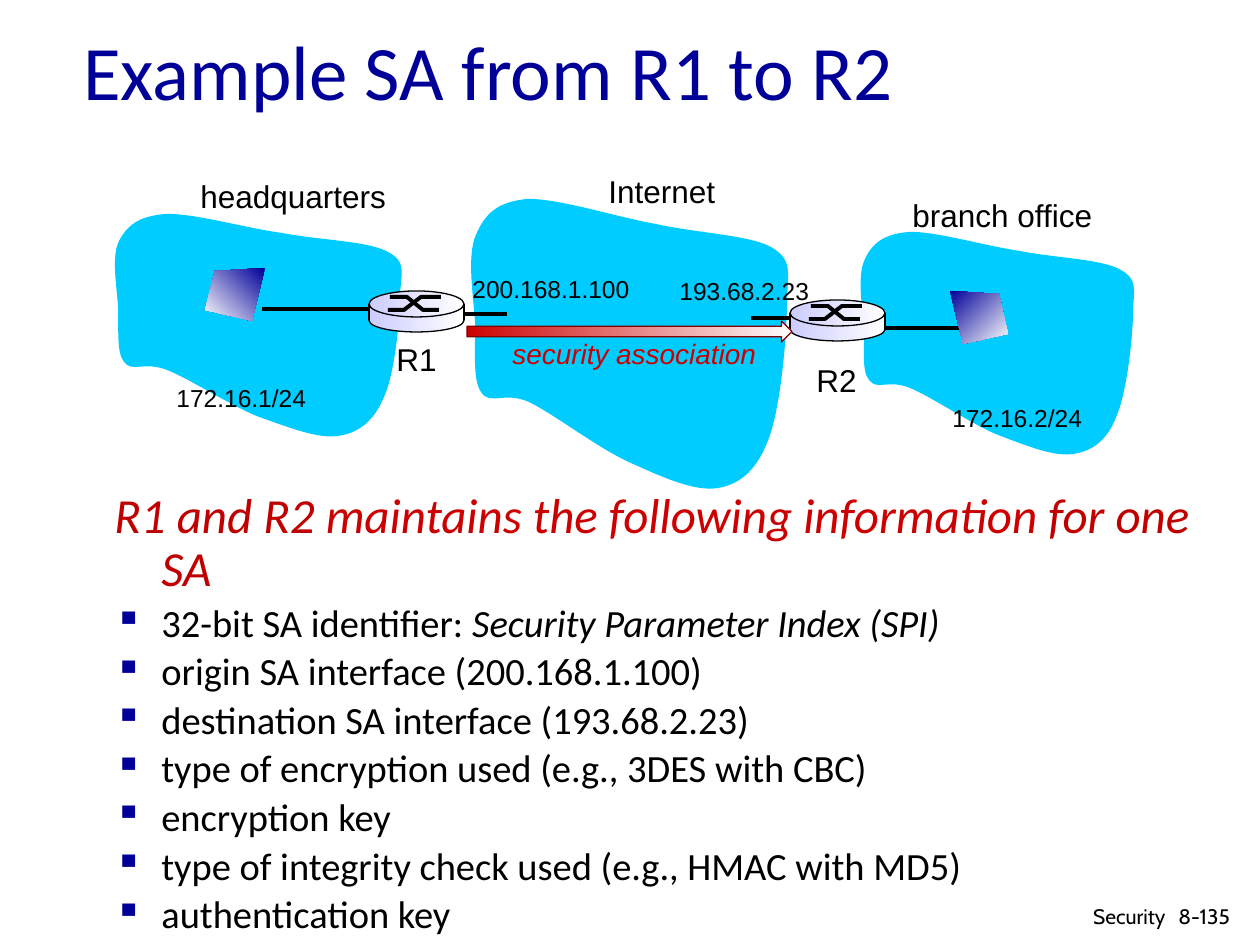
import dataclasses
import typing

import lxml.etree
import pptx
import pptx.dml.color
import pptx.enum.shapes
import pptx.enum.text
import pptx.oxml.ns
import pptx.util

SCALE = 914400 / 126
NAVY = pptx.dml.color.RGBColor(0x00, 0x00, 0x99)
CRIMSON = pptx.dml.color.RGBColor(0xC0, 0x00, 0x00)
RED = pptx.dml.color.RGBColor(0xCC, 0x00, 0x00)
MAROON = pptx.dml.color.RGBColor(0x80, 0x00, 0x00)
CYAN = pptx.dml.color.RGBColor(0x00, 0xCC, 0xFF)
LAVENDER = pptx.dml.color.RGBColor(0xCC, 0xCC, 0xFF)
BLACK = pptx.dml.color.RGBColor(0x00, 0x00, 0x00)
WHITE = pptx.dml.color.RGBColor(0xFF, 0xFF, 0xFF)

SHAPE = pptx.enum.shapes.MSO_SHAPE
Color = pptx.dml.color.RGBColor
Point = tuple[int, int]

CLOUD_SIZE = (258, 233)
CLOUD_CURVE = [
    (48, 1),
    (24, 3), (14, 13), (7, 29), (0, 45), (5, 76), (6, 97),
    (7, 118), (4, 143), (11, 154), (18, 165), (29, 153), (49, 162),
    (69, 171), (105, 199), (130, 210), (155, 221), (181, 233), (199, 230),
    (218, 227), (231, 214), (240, 190), (249, 165), (254, 108), (254, 83),
    (255, 58), (259, 49), (241, 39), (224, 29), (182, 28), (150, 21),
    (118, 15), (72, 0), (48, 1),
]


@dataclasses.dataclass(frozen=True)
class Box:
    left: int
    top: int
    width: int
    height: int

    def emu(self) -> list[int]:
        return [px(value) for value in dataclasses.astuple(self)]


@dataclasses.dataclass(frozen=True)
class Label:
    text: str
    box: Box
    size: int
    font: str = "Arial"
    color: Color = BLACK
    italic: bool = False
    wrap: bool = False


CLOUDS = [Box(857, 231, 280, 226), Box(111, 213, 294, 226), Box(467, 198, 325, 294)]
LINKS = [
    ((262, 309), (372, 309)),
    ((878, 328), (974, 328)),
    ((452, 314), (507, 314)),
    ((791, 318), (751, 318)),
]
LABELS = [
    Label("193.68.2.23", Box(667, 270, 159, 42), 14),
    Label("200.168.1.100", Box(460, 268, 184, 42), 14),
    Label("172.16.1/24", Box(164, 377, 158, 42), 14),
    Label("172.16.2/24", Box(940, 397, 161, 42), 14),
    Label("security association", Box(500, 330, 314, 47), 16, color=RED, italic=True, wrap=True),
    Label("Internet", Box(596, 166, 132, 50), 18),
    Label("headquarters", Box(188, 171, 217, 50), 18),
    Label("branch office", Box(900, 190, 210, 50), 18),
    Label("R1", Box(384, 334, 66, 50), 18),
    Label("R2", Box(804, 355, 66, 50), 18),
]
HEADING = [
    ("R1 and R2 ", CRIMSON),
    ("maintains the following information ", RED),
    ("for one SA", CRIMSON),
]
ITEMS = [
    ("32-bit SA identifier: ", "Security Parameter Index (SPI)"),
    ("origin SA interface (200.168.1.100)", ""),
    ("destination SA interface (193.68.2.23)", ""),
    ("type of encryption used (e.g., 3DES with CBC)", ""),
    ("encryption key", ""),
    ("type of integrity check used (e.g., HMAC with MD5)", ""),
    ("authentication key", ""),
]


def px(value: float) -> int:
    return round(value * SCALE)


def write_span(para: typing.Any, text: str, *, size: int, font: str = "Calibri",
               color: Color = BLACK, italic: bool = False) -> None:
    span = para.add_run()
    span.text = text
    span.font.size = pptx.util.Pt(size)
    span.font.name = font
    span.font.color.rgb = color
    span.font.italic = italic


def add_frame(page: typing.Any, box: Box, wrap: bool = True) -> typing.Any:
    frame = page.shapes.add_textbox(*box.emu()).text_frame
    frame.word_wrap = wrap
    return frame


def add_label(page: typing.Any, label: Label) -> typing.Any:
    frame = add_frame(page, label.box, label.wrap)
    write_span(frame.paragraphs[0], label.text, size=label.size, font=label.font,
               color=label.color, italic=label.italic)
    return frame


def paint(shape: typing.Any, fill: Color | None = None, line: Color | None = None,
          width: float = 0.75, fade_to: Color | None = None, angle: int = 0) -> None:
    shape.shadow.inherit = False
    if fill is None:
        shape.fill.background()
    elif fade_to is None:
        shape.fill.solid()
        shape.fill.fore_color.rgb = fill
    else:
        shape.fill.gradient()
        shape.fill.gradient_angle = -angle % 360
        for stop, color in zip(shape.fill.gradient_stops, (fill, fade_to)):
            stop.color.rgb = color
    if line is None:
        shape.line.fill.background()
    else:
        shape.line.color.rgb = line
        shape.line.width = pptx.util.Pt(width)


def add_line(page: typing.Any, start: Point, end: Point, width: float) -> None:
    line = page.shapes.add_connector(
        pptx.enum.shapes.MSO_CONNECTOR.STRAIGHT, *[px(value) for value in start + end])
    line.line.color.rgb = BLACK
    line.line.width = pptx.util.Pt(width)
    lxml.etree.SubElement(line._element.spPr, pptx.oxml.ns.qn("a:effectLst"))


def add_outline(page: typing.Any, points: list[Point], close: bool) -> typing.Any:
    builder = page.shapes.build_freeform(*points[0], scale=SCALE)
    builder.add_line_segments(points[1:], close=close)
    return builder.convert_to_shape()


def add_cloud(page: typing.Any, box: Box) -> None:
    points = [(round(box.left + x * box.width / CLOUD_SIZE[0]),
               round(box.top + y * box.height / CLOUD_SIZE[1])) for x, y in CLOUD_CURVE]
    cloud = add_outline(page, points, True)
    segments = list(cloud._element.iter(pptx.oxml.ns.qn("a:lnTo")))
    for index in range(0, len(segments), 3):
        curve = lxml.etree.Element(pptx.oxml.ns.qn("a:cubicBezTo"))
        segments[index].addprevious(curve)
        for segment in segments[index:index + 3]:
            curve.append(segment[0])
            segment.getparent().remove(segment)
    paint(cloud, CYAN)


def add_router(page: typing.Any, left: int, top: int) -> None:
    for kind, offset, height, line in [(SHAPE.OVAL, 18, 23, BLACK), (SHAPE.RECTANGLE, 15, 14, None),
                                       (SHAPE.OVAL, 0, 26, BLACK)]:
        part = page.shapes.add_shape(kind, *Box(left, top + offset, 95, height).emu())
        paint(part, LAVENDER, line, fade_to=WHITE)
    for cross in [[(19, 19), (35, 19), (52, 6), (72, 6)], [(21, 6), (38, 6), (54, 19), (70, 19)]]:
        path = add_outline(page, [(left + x, top + y) for x, y in cross], False)
        paint(path, line=BLACK, width=2.25)
    for side in (left, left + 95):
        add_line(page, (side, top + 13), (side, top + 29), 0.75)


def add_bullet(para: typing.Any) -> None:
    properties = para._p.get_or_add_pPr()
    tint = lxml.etree.SubElement(properties, pptx.oxml.ns.qn("a:buClr"))
    lxml.etree.SubElement(tint, pptx.oxml.ns.qn("a:srgbClr"), val=str(NAVY))
    lxml.etree.SubElement(properties, pptx.oxml.ns.qn("a:buChar"), char="▪")


def add_body(page: typing.Any) -> None:
    frame = add_frame(page, Box(102, 485, 1125, 436))
    for text, color in HEADING:
        write_span(frame.paragraphs[0], text, size=28, color=color, italic=True)
    for text, term in ITEMS:
        para = frame.add_paragraph()
        add_bullet(para)
        para.space_before = pptx.util.Pt(4)
        write_span(para, text, size=22)
        if term:
            write_span(para, term, size=22, italic=True)
    for para in frame.paragraphs:
        para.line_spacing = 0.9
        properties = para._p.get_or_add_pPr()
        properties.set("marL", str(px(47)))
        properties.set("indent", str(px(-47)))


def main() -> None:
    deck = pptx.Presentation()
    deck.slide_width, deck.slide_height = px(1260), px(945)
    page = deck.slides.add_slide(deck.slide_layouts[6])
    title = add_label(page, Label("Example SA from R1 to R2", Box(71, -9, 1071, 158), 44,
                                  "Calibri", NAVY, wrap=True))
    title.vertical_anchor = pptx.enum.text.MSO_ANCHOR.MIDDLE
    add_body(page)
    for box in CLOUDS:
        add_cloud(page, box)
    for start, end in LINKS:
        add_line(page, start, end, 2)
    for label in LABELS:
        add_label(page, label).auto_size = pptx.enum.text.MSO_AUTO_SIZE.SHAPE_TO_FIT_TEXT
    for corners, angle in [([(265, 268), (215, 271), (205, 310), (252, 321)], 135),
                           ([(950, 291), (999, 294), (1008, 334), (963, 344)], 45)]:
        paint(add_outline(page, corners, True), NAVY, fade_to=WHITE, angle=angle)
    add_router(page, 790, 300)
    add_router(page, 369, 291)
    arrow = page.shapes.add_shape(SHAPE.RIGHT_ARROW, *Box(467, 321, 325, 21).emu())
    paint(arrow, RED, MAROON, fade_to=WHITE, angle=6)
    add_label(page, Label("8-135", Box(1166, 897, 94, 38), 12, "Cabin", wrap=True))
    footer = add_label(page, Label("Security", Box(1079, 897, 99, 35), 12, "Cabin", wrap=True))
    footer.paragraphs[0].alignment = pptx.enum.text.PP_ALIGN.RIGHT
    deck.save("out.pptx")


if __name__ == "__main__":
    main()
